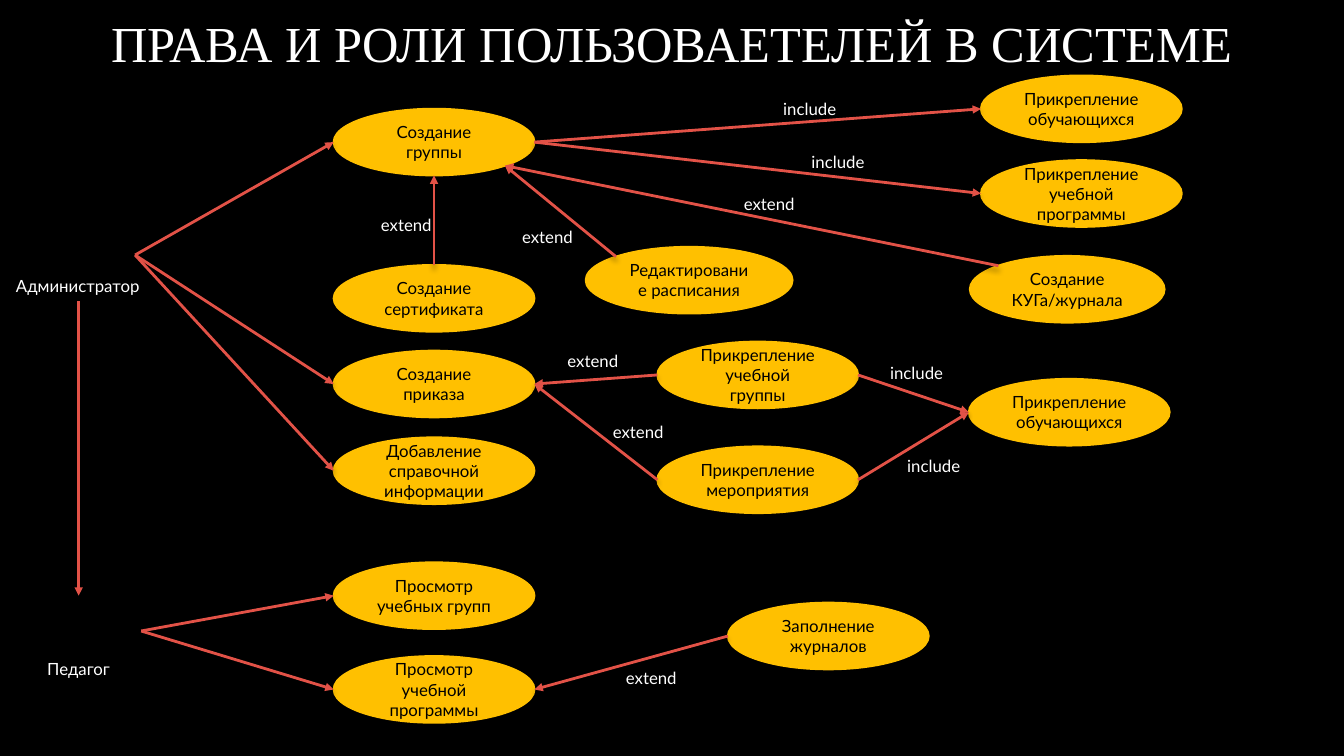
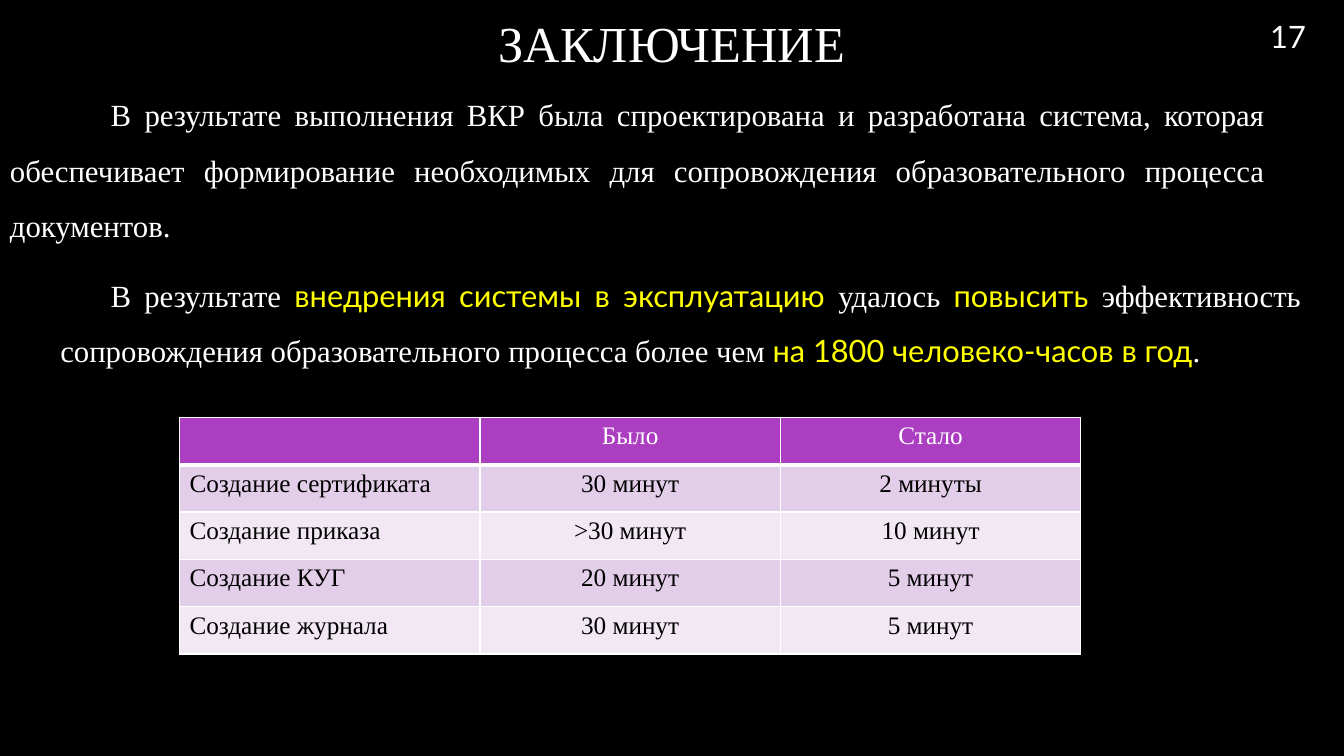
from math import cos, radians, sin

from lxml import etree
from pptx import Presentation
from pptx.dml.color import RGBColor
from pptx.enum.shapes import MSO_CONNECTOR as CONNECTOR, MSO_SHAPE as SHAPE
from pptx.enum.text import MSO_ANCHOR as ANCHOR, MSO_AUTO_SIZE as AUTO_SIZE, PP_ALIGN as ALIGN
from pptx.oxml import parse_xml
from pptx.oxml.ns import nsdecls, qn
from pptx.util import Inches, Pt

COLORS = {
    "background": "000000", "light": "FFFFFF", "dark": "000000", "highlight": "FFFF00",
    "ellipse": "FFC000", "arrow": "E25247",
    "header": "AC3EC1", "odd_row": "E3CEE9", "even_row": "F1E8F4",
}
SERIF, SANS = "Times New Roman", "Lato"

# Connection sites of an ellipse, counter-clockwise from the top
TOP, TOP_LEFT, LEFT, BOTTOM, BOTTOM_RIGHT, RIGHT = 0, 1, 2, 4, 5, 6


def color(name):
    return RGBColor.from_string(COLORS[name])


def write(paragraph, text, size=12, font=SANS, fill="light", align=ALIGN.LEFT):
    """Add one formatted run to a paragraph."""
    paragraph.alignment = align
    run = paragraph.add_run()
    run.text = text
    run.font.size, run.font.name = Pt(size), font
    run.font.color.rgb = color(fill)


def site_point(shape, site):
    """Return the place of a connection site on an ellipse."""
    angle = radians(90 + 45 * site)
    return (round(shape.left + shape.width / 2 * (1 + cos(angle))),
            round(shape.top + shape.height / 2 * (1 - sin(angle))))


class Deck:
    def __init__(self):
        self.presentation = Presentation()
        self.presentation.slide_width = Inches(13.33)
        self.presentation.slide_height = Inches(7.5)
        fill = self.presentation.slide_master.background.fill
        fill.solid()
        fill.fore_color.rgb = color("background")
        self.slide = None

    def add_slide(self, title):
        self.slide = self.presentation.slides.add_slide(self.presentation.slide_layouts[5])
        shape = self.slide.shapes.title
        shape.left, shape.top = 0, Inches(0.02)
        shape.width, shape.height = Inches(13.33), Inches(0.8)
        frame = shape.text_frame
        frame.auto_size, frame.vertical_anchor = AUTO_SIZE.NONE, ANCHOR.MIDDLE
        write(frame.paragraphs[0], title, size=36, font=SERIF, align=ALIGN.CENTER)

    def text_box(self, left, top, width, height, anchor=ANCHOR.TOP):
        shape = self.slide.shapes.add_textbox(*map(Inches, (left, top, width, height)))
        frame = shape.text_frame
        frame.word_wrap, frame.vertical_anchor = True, anchor
        return frame.paragraphs[0]

    def label(self, text, left, top, width=0.9):
        write(self.text_box(left, top, width, 0.3), text)

    def page_number(self, number):
        paragraph = self.text_box(12.22, 0, 1.11, 0.72, anchor=ANCHOR.MIDDLE)
        write(paragraph, number, size=22, align=ALIGN.CENTER)

    def body(self, runs, top, width, height, margin=0, indent=0):
        """Add a justified paragraph; each run is a text and whether it is highlighted."""
        paragraph = self.text_box(0, top, width, height)
        properties = paragraph._p.get_or_add_pPr()
        properties.set("marL", str(Inches(margin)))
        properties.set("indent", str(Inches(indent)))
        paragraph.line_spacing = 1.5
        for text, marked in runs:
            write(paragraph, text, size=22, font=SANS if marked else SERIF,
                  fill="highlight" if marked else "light", align=ALIGN.JUSTIFY)

    def ellipse(self, text, left, top, width=1.99):
        shape = self.slide.shapes.add_shape(
            SHAPE.OVAL, *map(Inches, (left, top, width, 0.66)))
        shape.shadow.inherit = False
        shape.fill.solid()
        shape.fill.fore_color.rgb = color("ellipse")
        shape.line.color.rgb = color("ellipse")
        shape.line.width = Pt(1.5)
        frame = shape.text_frame
        frame.word_wrap, frame.vertical_anchor = True, ANCHOR.MIDDLE
        write(frame.paragraphs[0], text, fill="dark", align=ALIGN.CENTER)
        return shape

    def arrow(self, start, end):
        """Draw an arrow; each end is a point in inches or an (ellipse, site) pair."""
        points, joints = [], []
        for tag, (first, second) in (("a:stCxn", start), ("a:endCxn", end)):
            if isinstance(first, (int, float)):
                points += [Inches(first), Inches(second)]
            else:
                points += site_point(first, second)
                joints.append((tag, first.shape_id, second))
        connector = self.slide.shapes.add_connector(CONNECTOR.STRAIGHT, *points)
        connector.line.color.rgb = color("arrow")
        connector.line.width = Pt(2)
        etree.SubElement(connector.line._get_or_add_ln(), qn("a:tailEnd"), type="triangle")
        connector._element.spPr.append(parse_xml(
            f'<a:effectLst {nsdecls("a")}><a:outerShdw blurRad="{Pt(4)}" dist="{Pt(3)}" '
            'dir="5400000" rotWithShape="0"><a:srgbClr val="000000"><a:alpha val="35000"/>'
            '</a:srgbClr></a:outerShdw></a:effectLst>'))
        for tag, shape_id, site in joints:
            etree.SubElement(connector._element.nvCxnSpPr.cNvCxnSpPr, qn(tag),
                             id=str(shape_id), idx=str(site))

    def table(self, rows, left, top, column_width, row_height):
        columns = len(rows[0])
        table = self.slide.shapes.add_table(
            len(rows), columns, Inches(left), Inches(top),
            Inches(column_width * columns), Inches(row_height * len(rows))).table
        for row_index, row in enumerate(rows):
            header = row_index == 0
            fill = "header" if header else "odd_row" if row_index % 2 else "even_row"
            for column_index, text in enumerate(row):
                cell = table.cell(row_index, column_index)
                self.cell_borders(cell, top=3 if row_index == 1 else 1,
                                  bottom=3 if header else 1)
                cell.fill.solid()
                cell.fill.fore_color.rgb = color(fill)
                paragraph = cell.text_frame.paragraphs[0]
                if text:
                    write(paragraph, text, size=18, font=SERIF,
                          fill="light" if header else "dark",
                          align=ALIGN.CENTER if column_index else ALIGN.LEFT)
                else:
                    paragraph.font.size = Pt(18)

    def cell_borders(self, cell, top, bottom):
        properties = cell._tc.get_or_add_tcPr()
        for side, width in (("L", 1), ("R", 1), ("T", top), ("B", bottom)):
            properties.append(parse_xml(
                f'<a:ln{side} {nsdecls("a")} w="{Pt(width)}"><a:solidFill>'
                f'<a:srgbClr val="{COLORS["light"]}"/></a:solidFill></a:ln{side}>'))


def roles_slide(deck):
    deck.add_slide("ПРАВА И РОЛИ ПОЛЬЗОВАЕТЕЛЕЙ В СИСТЕМЕ")

    # Actors
    deck.label("Администратор", 0.06, 2.69, 1.6)
    deck.label("Педагог", 0.37, 6.49, 1)
    admin, teacher = (1.34, 2.53), (1.4, 6.26)

    # Use cases
    group = deck.ellipse("Создание группы", 3.31, 1.08)
    certificate = deck.ellipse("Создание сертификата", 3.31, 2.63)
    order = deck.ellipse("Создание приказа", 3.31, 3.48)
    reference = deck.ellipse("Добавление справочной информации", 3.31, 4.34)
    view_groups = deck.ellipse("Просмотр учебных групп", 3.31, 5.58)
    view_program = deck.ellipse("Просмотр учебной программы", 3.31, 6.51)
    schedule = deck.ellipse("Редактирование расписания", 5.81, 2.45, 2.05)
    attach_group = deck.ellipse("Прикрепление учебной группы", 6.52, 3.39)
    attach_event = deck.ellipse("Прикрепление мероприятия", 6.52, 4.43)
    fill_journals = deck.ellipse("Заполнение журналов", 7.22, 5.98)
    group_students = deck.ellipse("Прикрепление обучающихся", 9.73, 0.75)
    attach_program = deck.ellipse("Прикрепление учебной программы", 9.73, 1.59)
    journal = deck.ellipse("Создание КУГа/журнала", 9.62, 2.54, 1.93)
    order_students = deck.ellipse("Прикрепление обучающихся", 9.61, 3.76)

    # Arrows from the actors
    deck.arrow((0.78, 2.99), (0.78, 5.91))
    for actor, cases in ((admin, (group, order, reference)),
                         (teacher, (view_groups, view_program))):
        for case in cases:
            deck.arrow(actor, (case, LEFT))

    # Arrows between use cases
    for start, start_site, end, end_site in (
            (group, RIGHT, group_students, LEFT),
            (group, RIGHT, attach_program, LEFT),
            (journal, TOP_LEFT, group, BOTTOM_RIGHT),
            (schedule, TOP_LEFT, group, BOTTOM_RIGHT),
            (certificate, TOP, group, BOTTOM),
            (attach_group, LEFT, order, RIGHT),
            (attach_event, LEFT, order, RIGHT),
            (attach_group, RIGHT, order_students, LEFT),
            (attach_event, RIGHT, order_students, LEFT),
            (fill_journals, LEFT, view_program, RIGHT)):
        deck.arrow((start, start_site), (end, end_site))

    # Arrow labels
    labels = {
        "include": ((7.67, 0.93), (7.95, 1.46), (8.73, 3.55), (8.9, 4.47)),
        "extend": ((5.08, 2.2), (5.53, 3.43), (3.68, 2.08), (6.11, 6.58),
                   (7.28, 1.87), (5.98, 4.13)),
    }
    for text, places in labels.items():
        for left, top in places:
            deck.label(text, left, top)


def conclusion_slide(deck):
    deck.add_slide("ЗАКЛЮЧЕНИЕ")
    deck.page_number("17")

    # Findings
    deck.body([("В результате выполнения ВКР была спроектирована и разработана система, "
                "которая обеспечивает формирование необходимых для сопровождения "
                "образовательного процесса документов.", False)],
              top=0.72, width=12.64, height=1.8, indent=1)
    deck.body([("В результате ", False),
               ("внедрения системы в эксплуатацию ", True),
               ("удалось ", False),
               ("повысить ", True),
               ("эффективность сопровождения образовательного процесса более чем ", False),
               ("на 1800 человеко-часов в год", True),
               (".", False)],
              top=2.51, width=13, height=1.3, margin=0.5, indent=0.5)

    # Time before and after
    deck.table([("", "Было", "Стало"),
                ("Создание сертификата", "30 минут", "2 минуты"),
                ("Создание приказа", ">30 минут", "10 минут"),
                ("Создание КУГ", "20 минут", "5 минут"),
                ("Создание журнала", "30 минут", "5 минут")],
               left=1.78, top=4.14, column_width=2.98, row_height=0.47)


def main():
    deck = Deck()
    roles_slide(deck)
    conclusion_slide(deck)
    deck.presentation.save("out.pptx")


if __name__ == "__main__":
    main()
